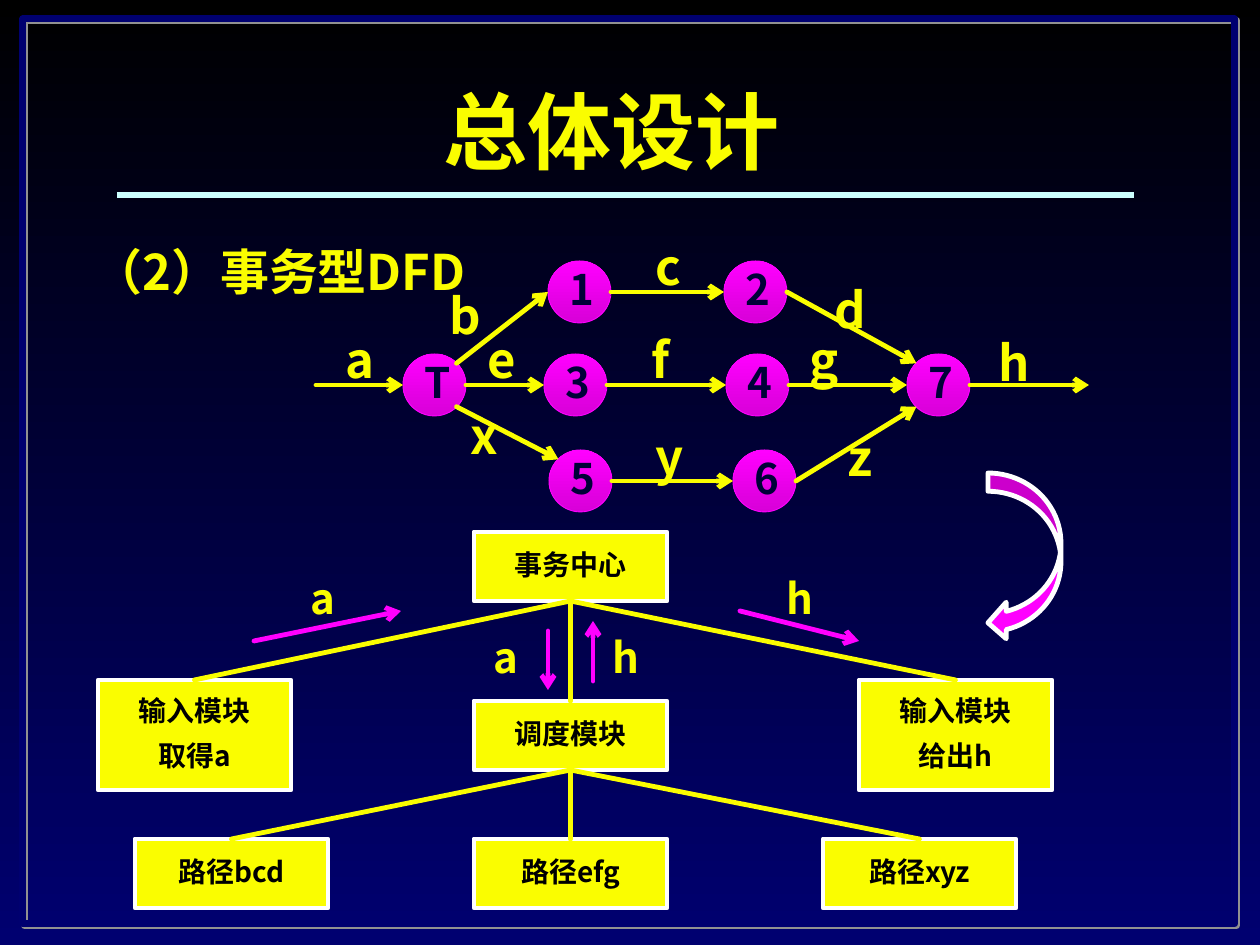
from lxml import etree
from pptx import Presentation
from pptx.dml.color import RGBColor
from pptx.enum.shapes import MSO_CONNECTOR, MSO_SHAPE
from pptx.enum.text import MSO_ANCHOR, MSO_AUTO_SIZE, PP_ALIGN
from pptx.oxml.ns import qn
from pptx.util import Pt

STRAIGHT = MSO_CONNECTOR.STRAIGHT
RECT, OVAL = MSO_SHAPE.RECTANGLE, MSO_SHAPE.OVAL
CURVED_ARROW = MSO_SHAPE.CURVED_LEFT_ARROW
TOP, MIDDLE = MSO_ANCHOR.TOP, MSO_ANCHOR.MIDDLE
GROW = MSO_AUTO_SIZE.SHAPE_TO_FIT_TEXT
LEFT, CENTER = PP_ALIGN.LEFT, PP_ALIGN.CENTER

EMU_PER_PX = 914400 / 126
FONT = "Noto Sans CJK SC"
COLORS = {
    "black": "000000",
    "navy": "000070",
    "ink": "000038",
    "yellow": "FAFD00",
    "white": "FFFFFF",
    "magenta": "FF00FF",
    "purple": "D800D8",
    "ice": "CCFFFF",
    "grey": "919191",
}

NODE_W, NODE_H = 63, 62
NODES = {
    "T": (403, 354), "3": (544, 354), "4": (726, 354), "7": (907, 354),
    "5": (549, 450), "6": (733, 450),
    "1": (548, 261), "2": (724, 261),
}
SIDES = {
    "left": (0, 0.5), "right": (1, 0.5),
    "top_left": (0.15, 0.15), "top_right": (0.85, 0.15),
    "bottom_left": (0.15, 0.85), "bottom_right": (0.85, 0.85),
}
FLOWS = [
    ("T", "right", "3", "left"), ("3", "right", "4", "left"),
    ("4", "right", "7", "left"), ("5", "right", "6", "left"),
    ("1", "right", "2", "left"), ("T", "top_right", "1", "left"),
    ("T", "bottom_right", "5", "top_left"),
    ("2", "right", "7", "top_left"), ("6", "right", "7", "bottom_left"),
]
FLOW_LABELS = [
    ("a", 324, 330), ("e", 466, 330), ("f", 625, 330), ("g", 789, 330),
    ("h", 979, 333), ("x", 449, 406), ("y", 634, 427), ("z", 824, 428),
    ("c", 633, 237), ("d", 815, 280), ("b", 430, 286),
]

MODULE_W = 193
MODULES = {
    "center": (474, 532, 69, ["事务中心"]),
    "input": (98, 680, 110, ["输入模块", "取得a"]),
    "output": (859, 680, 110, ["输入模块", "给出h"]),
    "dispatch": (474, 701, 69, ["调度模块"]),
    "bcd": (135, 839, 69, ["路径bcd"]),
    "efg": (474, 839, 69, ["路径efg"]),
    "xyz": (823, 839, 69, ["路径xyz"]),
}
CALLS = {
    "center": ["input", "output", "dispatch"],
    "dispatch": ["bcd", "xyz", "efg"],
}
DATA_ARROWS = [
    (254, 641, 401, 611), (740, 611, 859, 641),
    (548, 631, 548, 690), (593, 681, 593, 621),
]
DATA_LABELS = [("a", 282, 572), ("h", 759, 572), ("a", 465, 631), ("h", 585, 631)]


def px(*values):
    return [round(v * EMU_PER_PX) for v in values]


def rgb(name):
    return RGBColor.from_string(COLORS[name])


def set_gradient(fill, names, angle):
    fill.gradient()
    fill.gradient_angle = angle
    for stop, name in zip(fill.gradient_stops, names):
        stop.color.rgb = rgb(name)


def set_text(sp, lines, size, color, align=CENTER, anchor=MIDDLE, spacing=0.9):
    tf = sp.text_frame
    tf.word_wrap = True
    tf.vertical_anchor = anchor
    tf.text = "\n".join(lines)
    for i, p in enumerate(tf.paragraphs):
        p.alignment = align
        p.line_spacing = spacing
        p.space_before = Pt(size / 2 if i else 0)
        p.font.size = Pt(size)
        p.font.bold = True
        p.font.color.rgb = rgb(color)
        p.font.name = FONT
        props = p._p.pPr.find(qn("a:defRPr"))
        etree.SubElement(props, qn("a:ea")).set("typeface", FONT)


def add_outlined(s, kind, box, line, width):
    sp = s.shapes.add_shape(kind, *px(*box))
    sp.shadow.inherit = False
    sp.line.color.rgb = rgb(line)
    sp.line.width = Pt(width)
    return sp


def add_line(s, ends, color="yellow", width=2.75, arrow=False, cap="rnd"):
    line = s.shapes.add_connector(STRAIGHT, *px(*ends))
    line.line.color.rgb = rgb(color)
    line.line.width = Pt(width)
    ln = line.line._get_or_add_ln()
    ln.set("cap", cap)
    if arrow:
        etree.SubElement(ln, qn("a:tailEnd")).set("type", "arrow")
    etree.SubElement(line._element.spPr, qn("a:effectLst"))
    return line


def add_label(s, text, x, y, w, h, size):
    sp = s.shapes.add_textbox(*px(x, y, w, h))
    set_text(sp, [text], size, "yellow", anchor=TOP)
    sp.text_frame.auto_size = GROW


def add_node(s, name):
    sp = add_outlined(s, OVAL, (*NODES[name], NODE_W, NODE_H), "magenta", 0.5)
    set_gradient(sp.fill, ("purple", "magenta"), 90)
    set_text(sp, [name], 24, "ink")


def node_point(name, side):
    x, y = NODES[name]
    dx, dy = SIDES[side]
    return x + dx * NODE_W, y + dy * NODE_H


def add_module(s, x, y, h, lines):
    sp = add_outlined(s, RECT, (x, y, MODULE_W, h), "white", 2.75)
    sp.fill.solid()
    sp.fill.fore_color.rgb = rgb("yellow")
    set_text(sp, lines, 16, "black")
    return sp


def add_frame(s):
    frame = add_outlined(s, RECT, (23, 19, 1212, 905), "navy", 4)
    frame.fill.background()
    effects = frame._element.spPr.find(qn("a:effectLst"))
    shadow = etree.SubElement(effects, qn("a:outerShdw"), dist="17780", dir="2700000")
    etree.SubElement(shadow, qn("a:srgbClr")).set("val", COLORS["grey"])


def add_headings(s):
    title = s.shapes.title
    title.left, title.top, title.width, title.height = px(89, 57, 1045, 158)
    set_text(title, ["总体设计"], 48, "yellow")
    add_line(s, (117, 195, 1134, 195), "ice", 3, cap="flat")
    body = s.shapes.add_textbox(*px(81, 224, 1090, 655))
    set_text(body, ["（2）事务型DFD"], 28, "yellow", LEFT, TOP, 1.2)


def add_flow_diagram(s):
    for name in NODES:
        add_node(s, name)
    for start, start_side, end, end_side in FLOWS:
        ends = node_point(start, start_side) + node_point(end, end_side)
        add_line(s, ends, arrow=True)
    add_line(s, (316, 385, *node_point("T", "left")), arrow=True)
    add_line(s, (*node_point("7", "right"), 1089, 385), arrow=True)
    for text, x, y in FLOW_LABELS:
        add_label(s, text, x, y, 71, 66, 28)


def add_module_tree(s):
    modules = {name: add_module(s, *spec) for name, spec in MODULES.items()}
    for parent, children in CALLS.items():
        for child in children:
            line = add_line(s, (0, 0, 0, 0))
            line.begin_connect(modules[parent], 2)
            line.end_connect(modules[child], 0)
    for ends in DATA_ARROWS:
        add_line(s, ends, "magenta", arrow=True)
    for text, x, y in DATA_LABELS:
        add_label(s, text, x, y, 82, 58, 24)


def add_turn_arrow(s):
    sp = add_outlined(s, CURVED_ARROW, (988, 473, 73, 168), "white", 2.75)
    sp.fill.solid()
    sp.fill.fore_color.rgb = rgb("magenta")


def main():
    prs = Presentation()
    prs.slide_width, prs.slide_height = px(1260, 945)
    s = prs.slides.add_slide(prs.slide_layouts[5])
    set_gradient(s.background.fill, ("black", "navy"), 270)
    add_frame(s)
    add_headings(s)
    add_flow_diagram(s)
    add_module_tree(s)
    add_turn_arrow(s)
    prs.save("out.pptx")


if __name__ == "__main__":
    main()
